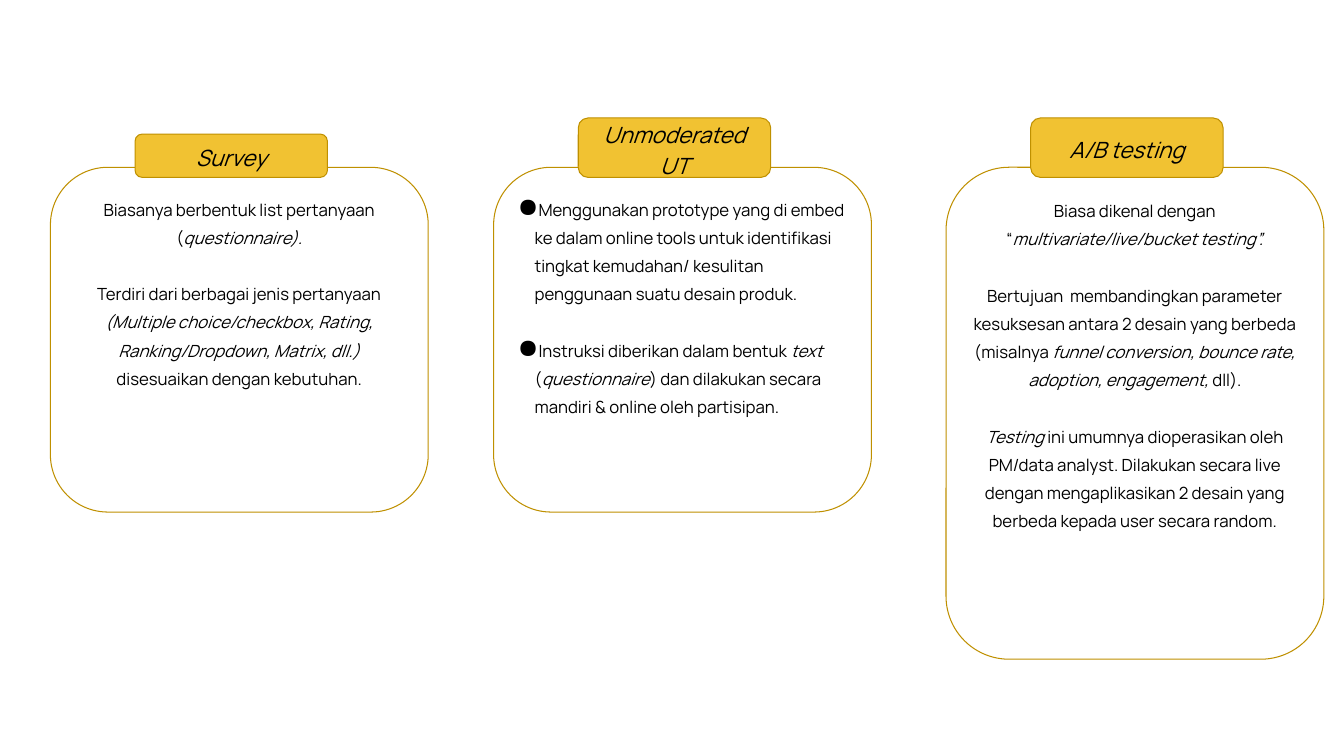
"""Build a slide that compares three unmoderated research methods."""
from dataclasses import dataclass

from lxml.etree import SubElement
from pptx import Presentation
from pptx.dml.color import RGBColor
from pptx.enum.shapes import MSO_SHAPE as Shape
from pptx.enum.text import MSO_ANCHOR as Anchor, PP_ALIGN as Align
from pptx.oxml.ns import qn
from pptx.util import Inches, Pt


@dataclass(frozen=True)
class Theme:
    """Colours, font and type sizes."""
    fill: RGBColor = RGBColor(0xF1, 0xC2, 0x32)
    line: RGBColor = RGBColor(0xBF, 0x90, 0x00)
    text: RGBColor = RGBColor(0, 0, 0)
    font: str = "Manrope"
    title: int = 16
    body: int = 12
    gap: float = 20.16
    stroke: float = 0.75


@dataclass(frozen=True)
class Method:
    """A card whose lengths are percentages of the slide; *marks* set italics."""
    title: str
    left: float
    height: float
    tab_height: float
    paragraphs: tuple[str, ...]
    bulleted: bool = False


THEME = Theme()
WIDTH, HEIGHT = Inches(13.34), Inches(7.5)
CARD_TOP, CARD_WIDTH = 22.13, 28.11
TAB_SHIFT, TAB_WIDTH, TAB_BOTTOM = 6.3, 14.32, 23.47

METHODS = (
    Method("Survey", 3.75, 45.6, 5.73, (
        "Biasanya berbentuk list pertanyaan (*questionnaire).*",
        "Terdiri dari berbagai jenis pertanyaan *(Multiple choice/checkbox, Rating, "
        "Ranking/Dropdown, Matrix, dll.) *disesuaikan dengan kebutuhan.",
    )),
    Method("Unmoderated UT", 36.73, 45.6, 7.87, (
        "Menggunakan prototype yang di embed ke dalam online tools untuk identifikasi "
        "tingkat kemudahan/ kesulitan penggunaan suatu desain produk.",
        "Instruksi diberikan dalam bentuk *text* (*questionnaire*) dan dilakukan "
        "secara mandiri & online oleh partisipan.",
    ), bulleted=True),
    Method("A/B testing", 70.39, 65.07, 7.87, (
        "Biasa dikenal dengan “*multivariate/live/bucket testing”.*",
        "Bertujuan  membandingkan parameter kesuksesan antara 2 desain yang berbeda "
        "(misalnya *funnel conversion, bounce rate, adoption, engagement,* dll).",
        "*Testing* ini umumnya dioperasikan oleh PM/data analyst. Dilakukan secara "
        "live dengan mengaplikasikan 2 desain yang berbeda kepada user secara random.",
    )),
)


def add_box(s, left: float, top: float, width: float, height: float, filled: bool):
    """Add an outlined rounded rectangle placed in percentages of the slide."""
    sp = s.shapes.add_shape(
        Shape.ROUNDED_RECTANGLE,
        int(WIDTH * left / 100), int(HEIGHT * top / 100),
        int(WIDTH * width / 100), int(HEIGHT * height / 100))
    sp.shadow.inherit = False
    if filled:
        sp.fill.solid()
        sp.fill.fore_color.rgb = THEME.fill
    else:
        sp.fill.background()
    sp.line.color.rgb = THEME.line
    sp.line.width = Pt(THEME.stroke)
    tf = sp.text_frame
    tf.word_wrap = True
    tf.vertical_anchor = Anchor.MIDDLE if filled else Anchor.TOP
    tf.margin_left = tf.margin_right = tf.margin_top = tf.margin_bottom = Inches(0.07)
    return tf


def add_bullet(p) -> None:
    """Give a paragraph a large round bullet and a hanging indent."""
    props = p._p.get_or_add_pPr()
    props.set("marL", str(Inches(0.17)))
    props.set("indent", str(-Inches(0.17)))
    SubElement(props, qn("a:buSzPct"), val="158000")
    SubElement(props, qn("a:buChar"), char="●")


def style_paragraph(p, size: int, spacing: float, align: Align) -> None:
    """Set a paragraph's alignment, line spacing and font."""
    p.alignment = align
    p.line_spacing = spacing
    p.font.name = THEME.font
    p.font.size = Pt(size)
    p.font.color.rgb = THEME.text


def add_method(s, method: Method) -> None:
    """Draw a method's card and the title tab on its top edge."""
    tf = add_box(s, method.left, CARD_TOP, CARD_WIDTH, method.height, False)
    for i, text in enumerate(method.paragraphs):
        p = tf.add_paragraph() if i else tf.paragraphs[0]
        if i:
            p.space_before = Pt(THEME.gap)
        if method.bulleted:
            add_bullet(p)
        style_paragraph(p, THEME.body, 1.4, Align.LEFT if method.bulleted else Align.CENTER)
        for j, part in enumerate(text.split("*")):
            if part:
                r = p.add_run()
                r.text = part
                r.font.italic = j % 2 == 1

    tf = add_box(s, method.left + TAB_SHIFT, TAB_BOTTOM - method.tab_height,
                 TAB_WIDTH, method.tab_height, True)
    p = tf.paragraphs[0]
    p.text = method.title
    style_paragraph(p, THEME.title, 1.15, Align.CENTER)
    p.font.italic = True


def main() -> None:
    """Create and save the presentation."""
    prs = Presentation()
    prs.slide_width, prs.slide_height = WIDTH, HEIGHT
    s = prs.slides.add_slide(prs.slide_layouts[6])
    for method in METHODS:
        add_method(s, method)
    prs.save("out.pptx")


if __name__ == "__main__":
    main()
